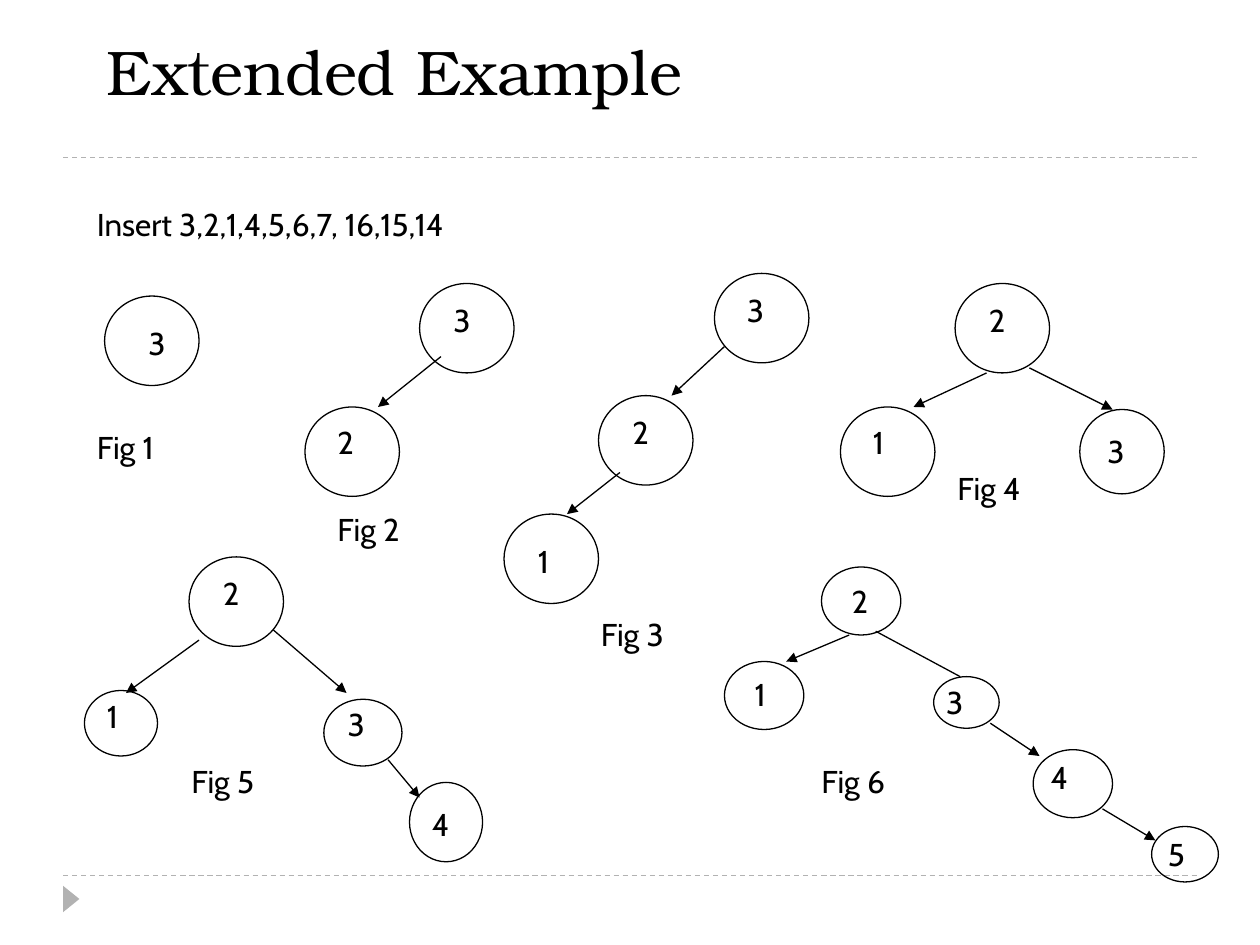
from dataclasses import dataclass

from lxml import etree
from pptx import Presentation
from pptx import util as u
from pptx.dml.color import RGBColor
from pptx.enum import dml, shapes, text
from pptx.oxml.ns import qn


@dataclass(frozen=True)
class Theme:
    ink: RGBColor = RGBColor(0, 0, 0)
    rule: RGBColor = RGBColor(0xB2, 0xB2, 0xB2)
    title_font: str = "TeX Gyre Bonum"
    body_font: str = "Cabin"
    title_size: float = 36
    body_size: float = 18
    line_width: float = 0.75


@dataclass(frozen=True)
class Node:
    """A circle and the place of its label box."""
    key: str
    x: float
    y: float
    label_x: float
    label_y: float
    w: float = 0.75
    h: float = 0.71


@dataclass(frozen=True)
class Edge:
    x1: float
    y1: float
    x2: float
    y2: float
    arrow: bool = True


@dataclass(frozen=True)
class Tree:
    caption: str
    x: float
    y: float
    nodes: tuple[Node, ...]
    edges: tuple[Edge, ...] = ()


THEME = Theme()
LABEL_W, LABEL_H, CAPTION_W = 0.42, 0.4, 1.25
SMALL = {"w": 0.63, "h": 0.54}

TREES = (
    Tree("Fig 1", 0.67, 3.35, (Node("3", 0.83, 2.35, 1.08, 2.52),)),
    Tree("Fig 2", 2.58, 4,
         (Node("3", 3.33, 2.25, 3.5, 2.34),
          Node("2", 2.42, 3.23, 2.58, 3.31)),
         (Edge(3.5, 2.83, 3, 3.23),)),
    Tree("Fig 3", 4.67, 4.83,
         (Node("3", 5.67, 2.17, 5.83, 2.26),
          Node("2", 4.75, 3.14, 4.92, 3.23),
          Node("1", 4, 4.08, 4.17, 4.25)),
         (Edge(5.75, 2.75, 5.33, 3.14),
          Edge(4.92, 3.75, 4.5, 4.08))),
    Tree("Fig 4", 7.5, 3.67,
         (Node("2", 7.58, 2.25, 7.75, 2.34),
          Node("1", 6.67, 3.23, 6.83, 3.31),
          Node("3", 8.57, 3.25, 8.69, 3.38, w=0.67, h=0.67)),
         (Edge(7.83, 2.96, 7.25, 3.23),
          Edge(8.17, 2.92, 8.83, 3.25))),
    Tree("Fig 5", 1.42, 6,
         (Node("2", 1.5, 4.42, 1.67, 4.51),
          Node("1", 0.67, 5.48, 0.75, 5.48, w=0.58, h=0.52),
          Node("3", 2.57, 5.55, 2.66, 5.55, w=0.62, h=0.53),
          Node("4", 3.25, 6.21, 3.33, 6.34, w=0.58, h=0.63)),
         (Edge(1.58, 5.08, 1, 5.5),
          Edge(2.17, 5, 2.75, 5.5),
          Edge(3.08, 6.03, 3.33, 6.33))),
    Tree("Fig 6", 6.42, 6,
         (Node("2", 6.52, 4.5, 6.66, 4.57, **SMALL),
          Node("1", 5.75, 5.25, 5.89, 5.31, **SMALL),
          Node("3", 7.41, 5.37, 7.41, 5.37, w=0.52, h=0.41),
          Node("4", 8.2, 5.95, 8.24, 5.97, **SMALL),
          Node("5", 9.14, 6.56, 9.17, 6.58, w=0.53, h=0.44)),
         (Edge(6.74, 5.04, 6.24, 5.25),
          Edge(6.95, 5.01, 7.62, 5.37, arrow=False),
          Edge(7.86, 5.74, 8.25, 6),
          Edge(8.75, 6.42, 9.17, 6.67))),
)


def inches(*lengths: float) -> list[u.Length]:
    return [u.Inches(n) for n in lengths]


def add_text(parent, words: str, x: float, y: float, w: float,
             h: float = LABEL_H, font: str = THEME.body_font,
             size: float = THEME.body_size,
             anchor=text.MSO_ANCHOR.TOP) -> None:
    tf = parent.add_textbox(*inches(x, y, w, h)).text_frame
    for name, value in {"word_wrap": True, "vertical_anchor": anchor}.items():
        setattr(tf, name, value)
    r = tf.paragraphs[0].add_run()
    r.text = words
    for name, value in {"name": font, "size": u.Pt(size)}.items():
        setattr(r.font, name, value)
    r.font.color.rgb = THEME.ink


def add_line(parent, edge: Edge, color: RGBColor = THEME.ink, dash=None) -> None:
    ends = inches(edge.x1, edge.y1, edge.x2, edge.y2)
    sp = parent.add_connector(shapes.MSO_CONNECTOR.STRAIGHT, *ends)
    sp.line.color.rgb = color
    sp.line.width = u.Pt(THEME.line_width)
    if dash:
        sp.line.dash_style = dash
    if edge.arrow:
        ln = sp.line._get_or_add_ln()
        etree.SubElement(ln, qn("a:tailEnd"), type="triangle")
    etree.SubElement(sp._element.spPr, qn("a:effectLst"))


def add_node(parent, node: Node) -> None:
    sp = parent.add_shape(shapes.MSO_SHAPE.OVAL,
                          *inches(node.x, node.y, node.w, node.h))
    sp.shadow.inherit = False
    sp.fill.background()
    sp.line.color.rgb = THEME.ink
    sp.line.width = u.Pt(THEME.line_width)
    add_text(parent, node.key, node.label_x, node.label_y, LABEL_W)


def add_tree(parent, tree: Tree) -> None:
    group = parent.add_group_shape().shapes
    for node in tree.nodes:
        add_node(group, node)
    for edge in tree.edges:
        add_line(group, edge)
    add_text(group, tree.caption, tree.x, tree.y, CAPTION_W)


def add_frame(parent) -> None:
    """Draw the dashed rules and the footer marker."""
    for y in (6.95, 1.25):
        add_line(parent, Edge(0.5, y, 9.5, y, arrow=False), THEME.rule,
                 dml.MSO_LINE.DASH)
    sp = parent.add_shape(shapes.MSO_SHAPE.ISOSCELES_TRIANGLE,
                          *inches(0.46, 7.07, 0.21, 0.13))
    sp.rotation = 90
    sp.shadow.inherit = False
    sp.fill.solid()
    sp.fill.fore_color.rgb = THEME.rule
    sp.line.fill.background()


def main() -> None:
    prs = Presentation()
    prs.slide_width, prs.slide_height = inches(10, 7.5)
    s = prs.slides.add_slide(prs.slide_layouts[6])
    add_frame(s.shapes)
    add_text(s.shapes, "Extended Example", 0.75, 0.08, 8.5, 0.83,
             THEME.title_font, THEME.title_size, text.MSO_ANCHOR.BOTTOM)
    add_text(s.shapes, "Insert 3,2,1,4,5,6,7, 16,15,14", 0.67, 1.58, 7.08, 0.5)
    for tree in TREES:
        add_tree(s.shapes, tree)
    prs.save("out.pptx")


if __name__ == "__main__":
    main()
